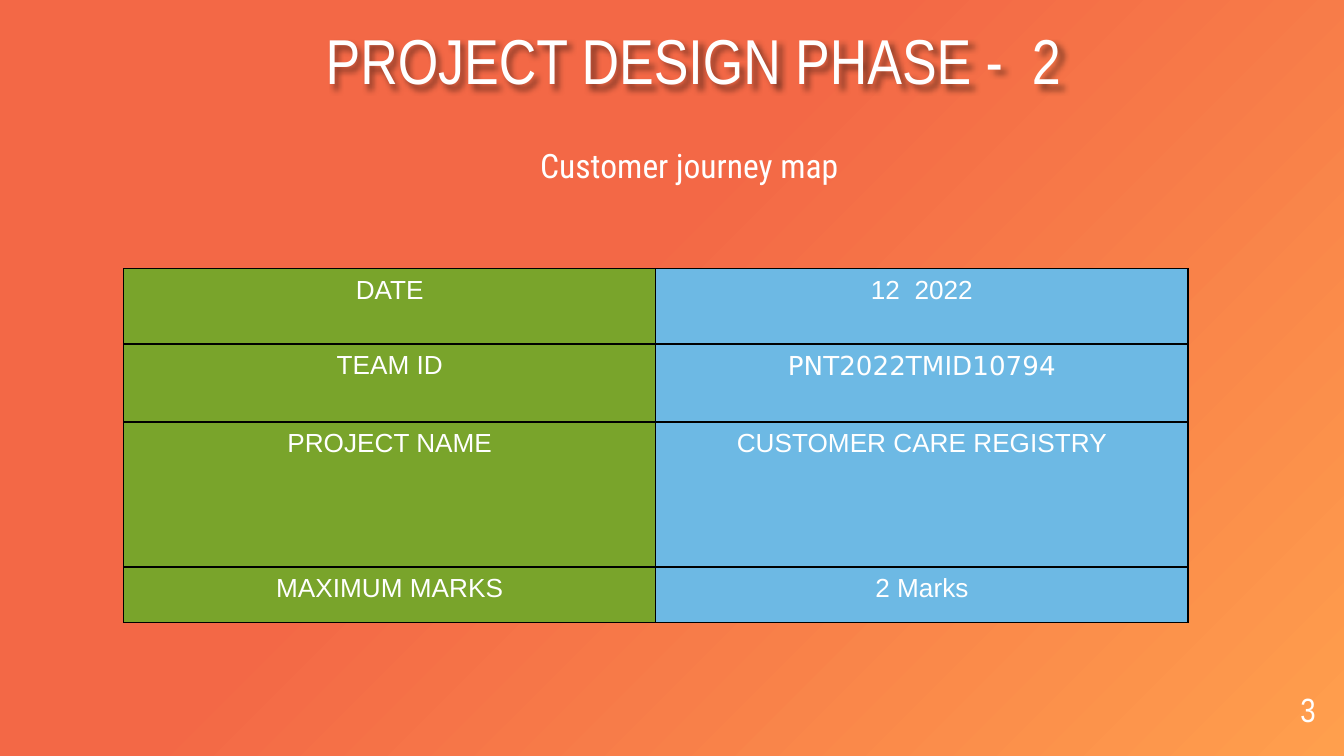
from lxml import etree
from pptx import Presentation
from pptx.dml.color import RGBColor
from pptx.enum.text import MSO_ANCHOR, PP_ALIGN
from pptx.oxml import parse_xml
from pptx.oxml.ns import nsdecls, qn
from pptx.util import Inches, Pt

CENTER, RIGHT = PP_ALIGN.CENTER, PP_ALIGN.RIGHT
TOP, BOTTOM = MSO_ANCHOR.TOP, MSO_ANCHOR.BOTTOM
SLIDE_WIDTH = 10
SLIDE_HEIGHT = SLIDE_WIDTH * 9 / 16
WHITE, BLACK, GREEN, BLUE = "FFFFFF", "000000", "79A42B", "6DB9E4"
GRADIENT = [(0, "FF9F4D"), (58, "F36846"), (100, "F36846")]
COLUMN_WIDTH = 3.96
ROW_HEIGHTS = [0.56, 0.58, 1.08, 0.41]
DETAILS = [
    ("DATE", "12  2022", "Arial"),
    ("TEAM ID", "PNT2022TMID10794", "DejaVu Sans"),
    ("PROJECT NAME", "CUSTOMER CARE REGISTRY", "Arial"),
    ("MAXIMUM MARKS", "2 Marks", "Arial"),
]


def rgb(value):
    return RGBColor.from_string(value)


def set_background(s):
    """Radial gradient spreading from the bottom right corner."""
    stops = "".join(
        f'<a:gs pos="{pos * 1000}"><a:srgbClr val="{color}"/></a:gs>'
        for pos, color in GRADIENT
    )
    bg = parse_xml(
        f'<p:bg {nsdecls("p", "a")}><p:bgPr><a:gradFill><a:gsLst>{stops}</a:gsLst>'
        '<a:path path="circle"><a:fillToRect l="100000" t="100000"/></a:path>'
        "</a:gradFill><a:effectLst/></p:bgPr></p:bg>"
    )
    s.element.cSld.insert(0, bg)


def write(p, text, size, font, align):
    p.alignment = align
    r = p.add_run()
    r.text = text
    for name, value in {"size": Pt(size), "name": font, "bold": False}.items():
        setattr(r.font, name, value)
    r.font.color.rgb = rgb(WHITE)


def add_text(s, box, text, size, font, align, anchor, spacing):
    sp = s.shapes.add_textbox(*map(Inches, box))
    tf = sp.text_frame
    settings = {"word_wrap": True, "vertical_anchor": anchor, "margin_left": 0,
                "margin_right": 0, "margin_top": 0, "margin_bottom": 0}
    for name, value in settings.items():
        setattr(tf, name, value)
    p = tf.paragraphs[0]
    p.line_spacing = spacing
    write(p, text, size, font, align)
    return sp


def add_shadow(sp):
    """Soft shadow, which falls on the text because the box has no fill."""
    sp.element.spPr.append(parse_xml(
        f'<a:effectLst {nsdecls("a")}><a:outerShdw blurRad="38100" dist="38100" '
        f'dir="2700000" algn="tl"><a:srgbClr val="{BLACK}"><a:alpha val="43000"/>'
        "</a:srgbClr></a:outerShdw></a:effectLst>"
    ))


def set_borders(cell, color, width):
    tc_pr = cell._tc.get_or_add_tcPr()
    for i, side in enumerate(("lnL", "lnR", "lnT", "lnB")):
        ln = etree.Element(qn(f"a:{side}"), w=str(Pt(width)))
        fill = etree.SubElement(ln, qn("a:solidFill"))
        etree.SubElement(fill, qn("a:srgbClr"), val=color)
        tc_pr.insert(i, ln)


def add_details_table(s, left, top):
    box = (left, top, 2 * COLUMN_WIDTH, sum(ROW_HEIGHTS))
    table = s.shapes.add_table(len(DETAILS), 2, *map(Inches, box)).table
    for column in table.columns:
        column.width = Inches(COLUMN_WIDTH)
    for i, (label, value, value_font) in enumerate(DETAILS):
        table.rows[i].height = Inches(ROW_HEIGHTS[i])
        parts = [(label, "Arial", GREEN), (value, value_font, BLUE)]
        for j, (text, font, color) in enumerate(parts):
            cell = table.cell(i, j)
            cell.fill.solid()
            cell.fill.fore_color.rgb = rgb(color)
            set_borders(cell, BLACK, 0.75)
            write(cell.text_frame.paragraphs[0], text, 14, font, CENTER)


def build_slide(prs):
    s = prs.slides.add_slide(prs.slide_layouts[6])
    set_background(s)
    title = add_text(s, (1.01, 0.4, 8.3, 0.33), "PROJECT DESIGN PHASE -  2",
                     34, "Arial Narrow", CENTER, BOTTOM, 0.9)
    add_shadow(title)
    add_text(s, (0.85, 1.03, 8.56, 0.35), "Customer journey map",
             18, "Roboto Condensed", CENTER, TOP, 1.15)
    add_text(s, (9.19, 5.08, 0.6, 0.35), "3",
             18, "Arial Narrow", RIGHT, BOTTOM, 0.9)
    add_details_table(s, 0.92, 2)


def main():
    prs = Presentation()
    prs.slide_width, prs.slide_height = Inches(SLIDE_WIDTH), Inches(SLIDE_HEIGHT)
    build_slide(prs)
    prs.save("out.pptx")


if __name__ == "__main__":
    main()
